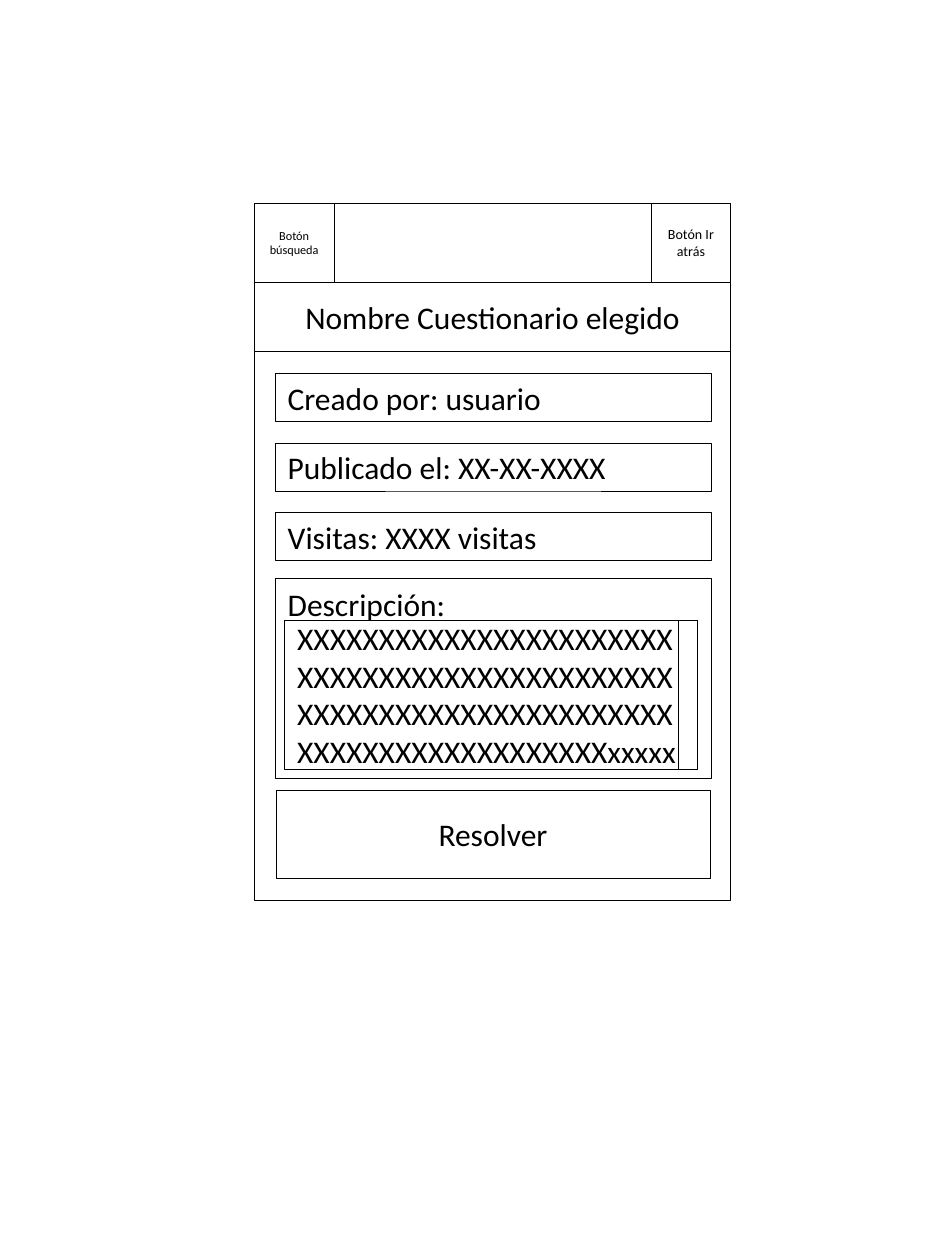
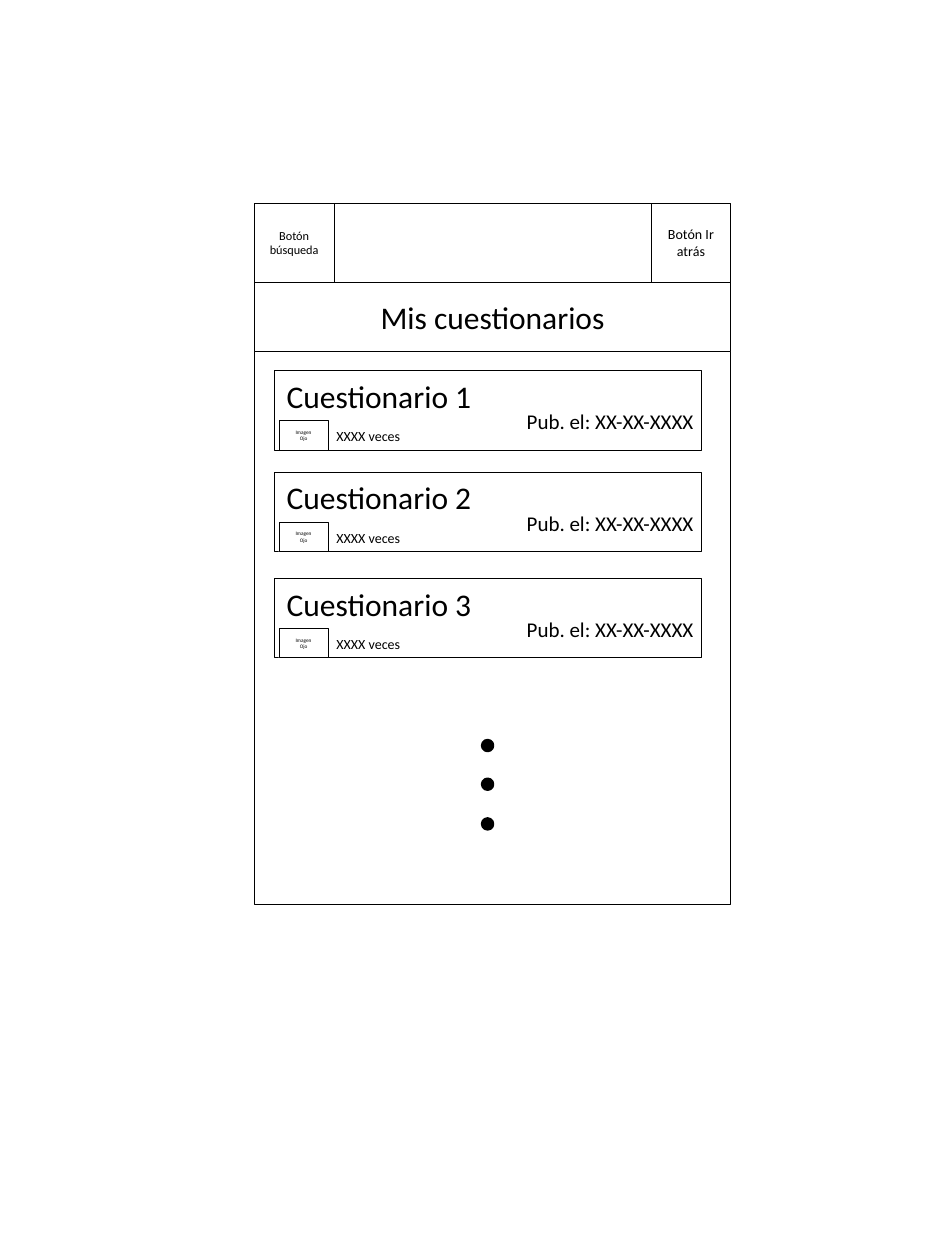
from pptx import Presentation
from pptx import util as u
from pptx.dml.color import RGBColor
from pptx.enum import shapes, text

hues = {"ink": "000000", "paper": "FFFFFF"}
kinds = shapes.MSO_SHAPE
left, top, wide, tall = 5.13, 4.09, 9.6, 1.6
under = top + tall


def write(shape, words, size=18, align="LEFT", anchor="MIDDLE", grow=False):
    frame = shape.text_frame
    frame.text = words
    frame.word_wrap = True
    frame.vertical_anchor = text.MSO_ANCHOR[anchor]
    fit = text.MSO_AUTO_SIZE
    frame.auto_size = fit.SHAPE_TO_FIT_TEXT if grow else fit.NONE
    for para in frame.paragraphs:
        para.alignment = text.PP_ALIGN[align]
        for run in para.runs:
            run.font.size = u.Pt(size)
            run.font.name = "Calibri"
            run.font.color.rgb = RGBColor.from_string(hues["ink"])


def draw(slide, x, y, w, h, kind=kinds.RECTANGLE, fill="paper", line=0.25, shape=None):
    place = [u.Cm(n) for n in (x, y, w, h)]
    if shape is None:
        shape = slide.shapes.add_shape(kind, *place)
        shape.shadow.inherit = False
    else:
        shape.left, shape.top, shape.width, shape.height = place
    shape.fill.solid()
    shape.fill.fore_color.rgb = RGBColor.from_string(hues[fill])
    shape.line.color.rgb = RGBColor.from_string(hues["ink"])
    shape.line.width = u.Pt(line)
    return shape


deck = Presentation()
deck.slide_width, deck.slide_height = u.Cm(19.05), u.Cm(25.4)

screens = []
for name, start in (("Nombre Cuestionario elegido", under), ("Mis cuestionarios", 5.79)):
    slide = deck.slides.add_slide(deck.slide_layouts[5])
    draw(slide, left, top, wide, tall)
    draw(slide, left, start, wide, 12.45)
    title = draw(slide, left, under, wide, 1.4, shape=slide.shapes.title)
    write(title, name, align="CENTER")
    slide.shapes._spTree.append(title._element)
    for x, label, size in (
        (left, "Botón\nbúsqueda", 7),
        (left + wide - tall, "Botón Ir atrás", 8),
    ):
        write(draw(slide, x, top, tall, tall), label, size=size, align="CENTER")
    screens.append(slide)

detail, quizzes = screens

facts = ["Creado por: usuario", "Publicado el: XX-XX-XXXX", "Visitas: XXXX visitas"]
for i, fact in enumerate(facts):
    write(draw(detail, 5.55, 7.53 + 1.4 * i, 8.78, 0.97), fact)

draw(detail, 5.55, 11.66, 8.78, 4.04)
label = detail.shapes.add_textbox(u.Cm(5.55), u.Cm(11.66), u.Cm(4.7), u.Cm(1.02))
write(label, "Descripción:", anchor="TOP", grow=True)
write(draw(detail, 5.74, 12.5, 8.31, 3.0), "X" * 88 + "x" * 5)
draw(detail, 13.67, 12.5, 0.38, 3.0)
write(draw(detail, 5.56, 15.93, 8.76, 1.78), "Resolver", align="CENTER")

for y in (14.93, 15.71, 16.51):
    draw(quizzes, 9.73, y, 0.2, 0.2, kind=kinds.OVAL, fill="ink", line=2)

for i, y in enumerate((7.47, 9.52, 11.66), 1):
    draw(quizzes, 5.53, y, 8.6, 1.6)
    for x, drop, w, h, words, size, align in (
        (5.53, 0, 4.7, 1.02, f"Cuestionario {i}", 18, "LEFT"),
        (9.73, 0.64, 4.6, 0.76, "Pub. el: XX-XX-XXXX ", 12, "RIGHT"),
        (6.53, 1.03, 2.16, 0.6, "XXXX veces", 8, "LEFT"),
    ):
        label = quizzes.shapes.add_textbox(u.Cm(x), u.Cm(y + drop), u.Cm(w), u.Cm(h))
        write(label, words, size=size, align=align, anchor="TOP", grow=True)
    write(draw(quizzes, 5.62, y + 1.01, 1.0, 0.59), "Imagen\nOjo", size=3, align="CENTER")

deck.save("out.pptx")
